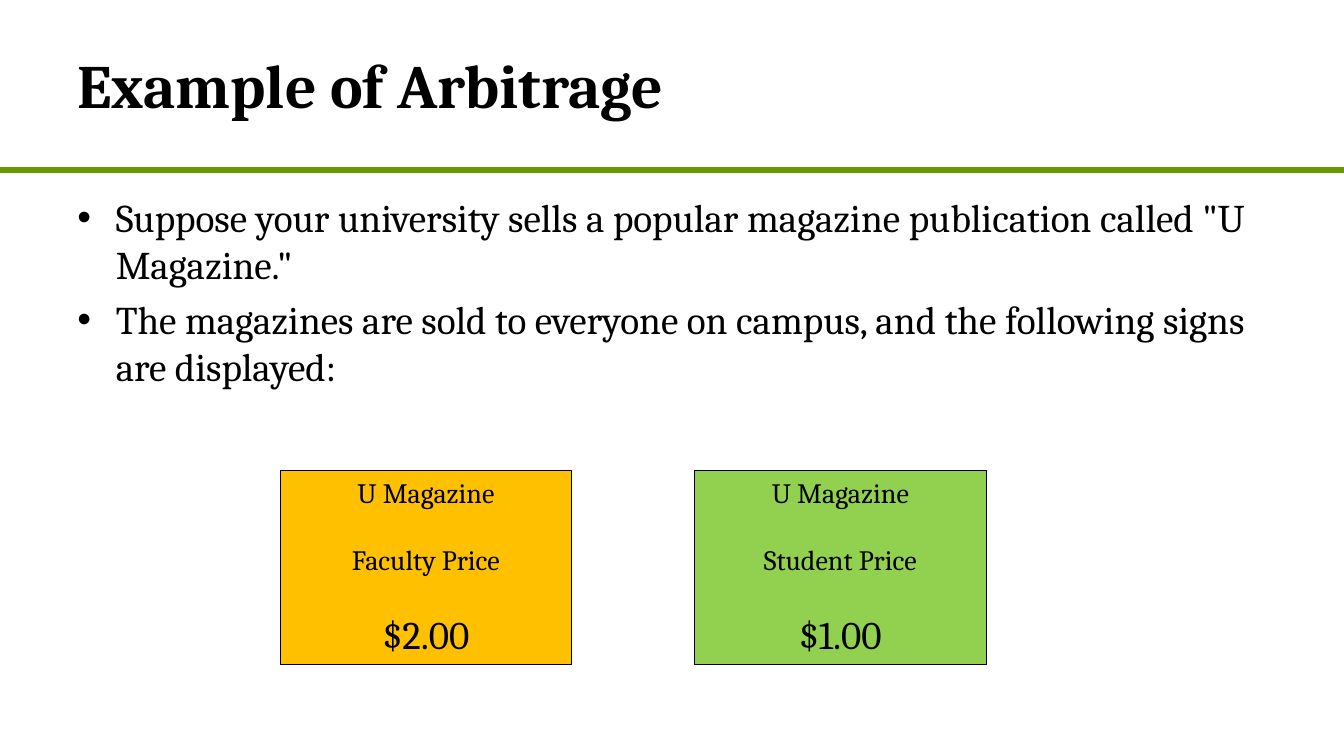
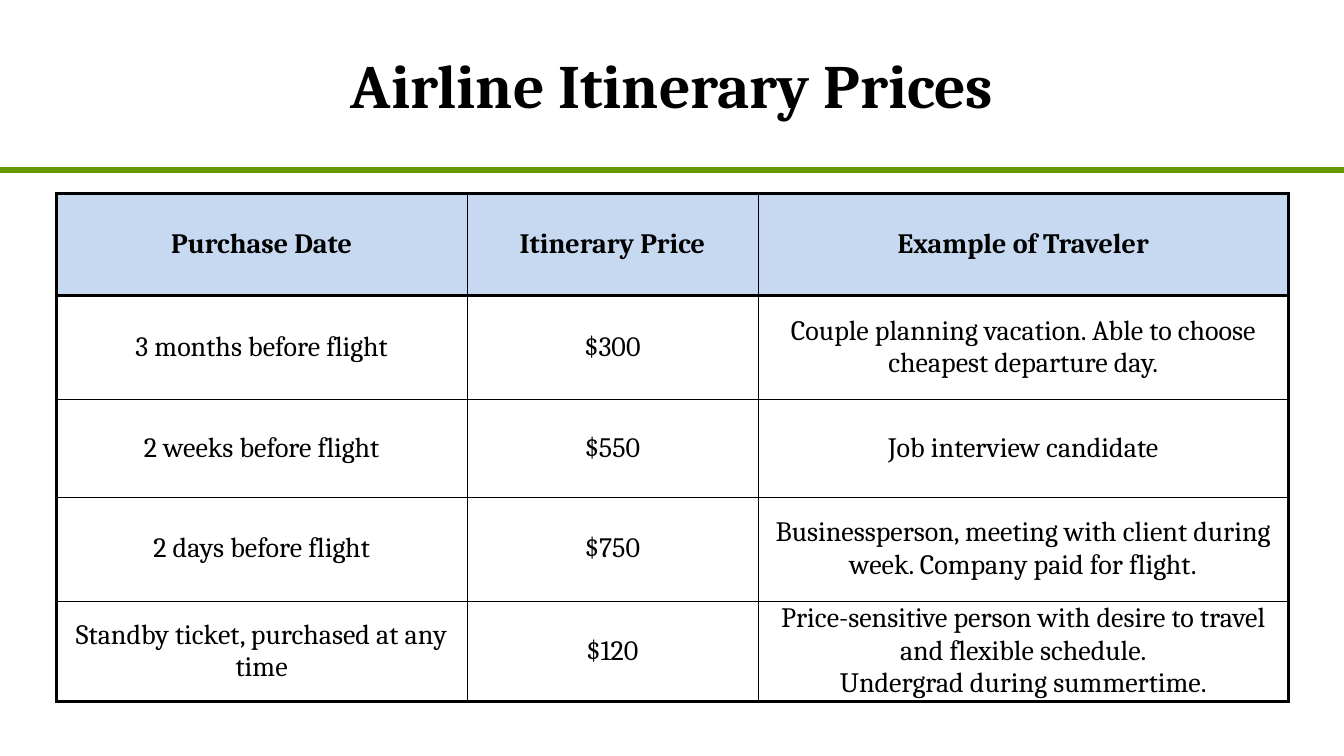
from dataclasses import dataclass

from lxml.etree import SubElement
from pptx import Presentation
from pptx.dml.color import RGBColor
from pptx.enum.shapes import MSO_CONNECTOR, MSO_SHAPE
from pptx.enum.text import MSO_ANCHOR, PP_ALIGN
from pptx.oxml.ns import qn
from pptx.util import Inches, Pt


@dataclass(frozen=True)
class Theme:
    font: str = "Cambria"
    ink: str = "000000"
    rule: str = "669900"
    head: str = "C6D9F1"
    gold: str = "FFC000"
    lime: str = "92D050"
    title: int = 44
    body: int = 28
    small: int = 20
    thick: float = 2.25
    thin: float = 0.25


T = Theme()
WIDE, HIGH = 13.33, 7.5
LEFT, SPAN = 0.67, 12

POINTS = [
    'Suppose your university sells a popular magazine publication called "U Magazine."',
    "The magazines are sold to everyone on campus, and the following signs are displayed:",
]
SIGNS = [
    ("Faculty Price", "$2.00", T.gold),
    ("Student Price", "$1.00", T.lime),
]
FARES = [
    ("Purchase Date", "Itinerary Price", "Example of Traveler"),
    ("3 months before flight", "$300",
     "Couple planning vacation. Able to choose cheapest departure day."),
    ("2 weeks before flight", "$550", "Job interview candidate"),
    ("2 days before flight", "$750",
     "Businessperson, meeting with client during week. Company paid for flight."),
    ("Standby ticket, purchased at any time", "$120",
     "Price-sensitive person with desire to travel and flexible schedule.\n"
     "Undergrad during summertime."),
]
COLS = [4.07, 2.89, 5.26]
ROWS = [1.01, 1.03, 0.97, 1.03, 1]


def color(code):
    return RGBColor.from_string(code)


def box(*sides):
    return [Inches(side) for side in sides]


def write(frame, lines, size, align=PP_ALIGN.LEFT, bold=False, gap=0, bullet=False):
    frame.word_wrap = True
    for i, line in enumerate(lines):
        text, points = line if isinstance(line, tuple) else (line, size)
        para = frame.paragraphs[0] if i == 0 else frame.add_paragraph()
        para.alignment = align
        if i and gap:
            para.space_before = Pt(gap)
        if bullet:
            props = para._p.get_or_add_pPr()
            props.set("marL", str(Inches(0.38)))
            props.set("indent", str(-Inches(0.38)))
            SubElement(props, qn("a:buFont")).set("typeface", "Arial")
            SubElement(props, qn("a:buChar")).set("char", "•")
        run = para.add_run()
        run.text = text
        font = run.font
        font.name, font.size, font.bold = T.font, Pt(points), bold
        font.color.rgb = color(T.ink)


def start(deck, title, align=PP_ALIGN.LEFT):
    slide = deck.slides.add_slide(deck.slide_layouts[6])
    rule = slide.shapes.add_connector(MSO_CONNECTOR.STRAIGHT, *box(0, 1.69, WIDE, 1.69))
    rule.line.color.rgb = color(T.rule)
    rule.line.width = Pt(4.5)
    SubElement(rule._element.spPr, qn("a:effectLst"))
    frame = slide.shapes.add_textbox(*box(LEFT, 0, SPAN, 1.67)).text_frame
    frame.vertical_anchor = MSO_ANCHOR.MIDDLE
    write(frame, [title], T.title, align, bold=True)
    return slide


def sign(slide, i, label, price, fill):
    card = slide.shapes.add_shape(MSO_SHAPE.RECTANGLE, *box(2.78 + i * 4.11, 4.67, 2.89, 1.92))
    card.shadow.inherit = False
    card.fill.solid()
    card.fill.fore_color.rgb = color(fill)
    card.line.color.rgb = color(T.ink)
    card.line.width = Pt(0.75)
    card.text_frame.vertical_anchor = MSO_ANCHOR.TOP
    lines = ["U Magazine", label, (price, T.body)]
    write(card.text_frame, lines, T.small, PP_ALIGN.CENTER, gap=24)


def edge(cell, row, col):
    last = len(ROWS) - 1
    heavy = {
        "a:lnL": col == 0,
        "a:lnR": col == len(COLS) - 1,
        "a:lnT": row in (0, 1),
        "a:lnB": row in (0, last),
    }
    props = cell._tc.get_or_add_tcPr()
    for i, (tag, bold) in enumerate(heavy.items()):
        line = SubElement(props, qn(tag))
        line.set("w", str(int(Pt(T.thick if bold else T.thin))))
        fill = SubElement(line, qn("a:solidFill"))
        SubElement(fill, qn("a:srgbClr")).set("val", T.ink)
        props.insert(i, line)


def grid(slide):
    area = box(0.56, 1.92, sum(COLS), sum(ROWS))
    table = slide.shapes.add_table(len(ROWS), len(COLS), *area).table
    table.first_row = table.horz_banding = False
    for col, width in zip(table.columns, COLS):
        col.width = Inches(width)
    for r, (texts, height) in enumerate(zip(FARES, ROWS)):
        table.rows[r].height = Inches(height)
        for c, text in enumerate(texts):
            cell = table.cell(r, c)
            cell.margin_top = cell.margin_bottom = 0
            cell.vertical_anchor = MSO_ANCHOR.MIDDLE
            if r == 0:
                cell.fill.solid()
                cell.fill.fore_color.rgb = color(T.head)
            else:
                cell.fill.background()
            edge(cell, r, c)
            write(cell.text_frame, text.split("\n"), T.small, PP_ALIGN.CENTER, bold=r == 0)


def main():
    deck = Presentation()
    deck.slide_width, deck.slide_height = box(WIDE, HIGH)

    slide = start(deck, "Example of Arbitrage")
    frame = slide.shapes.add_textbox(*box(LEFT, 1.87, SPAN, 5.35)).text_frame
    write(frame, POINTS, T.body, gap=5.6, bullet=True)
    for i, item in enumerate(SIGNS):
        sign(slide, i, *item)

    grid(start(deck, "Airline Itinerary Prices", PP_ALIGN.CENTER))
    deck.save("out.pptx")


if __name__ == "__main__":
    main()
